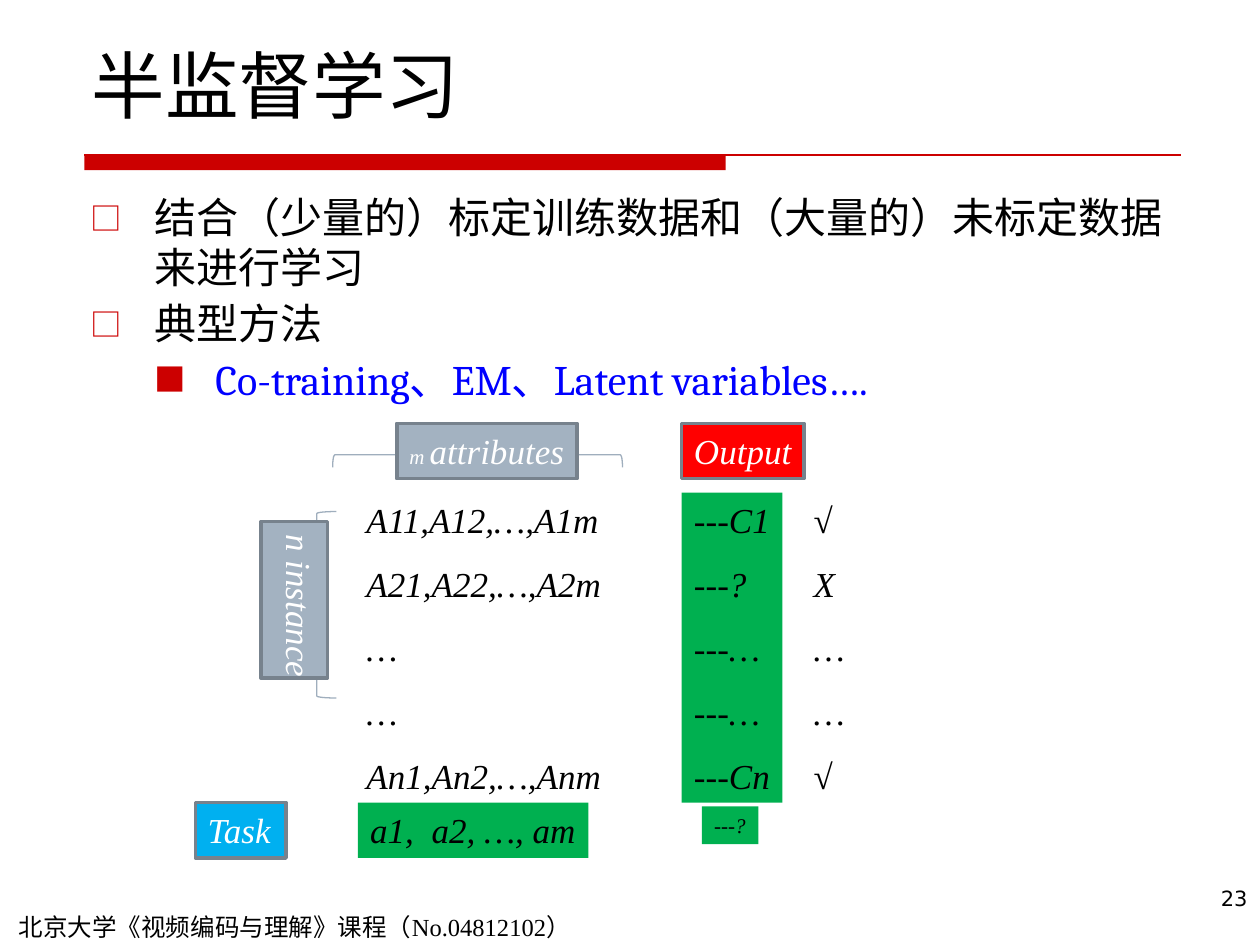
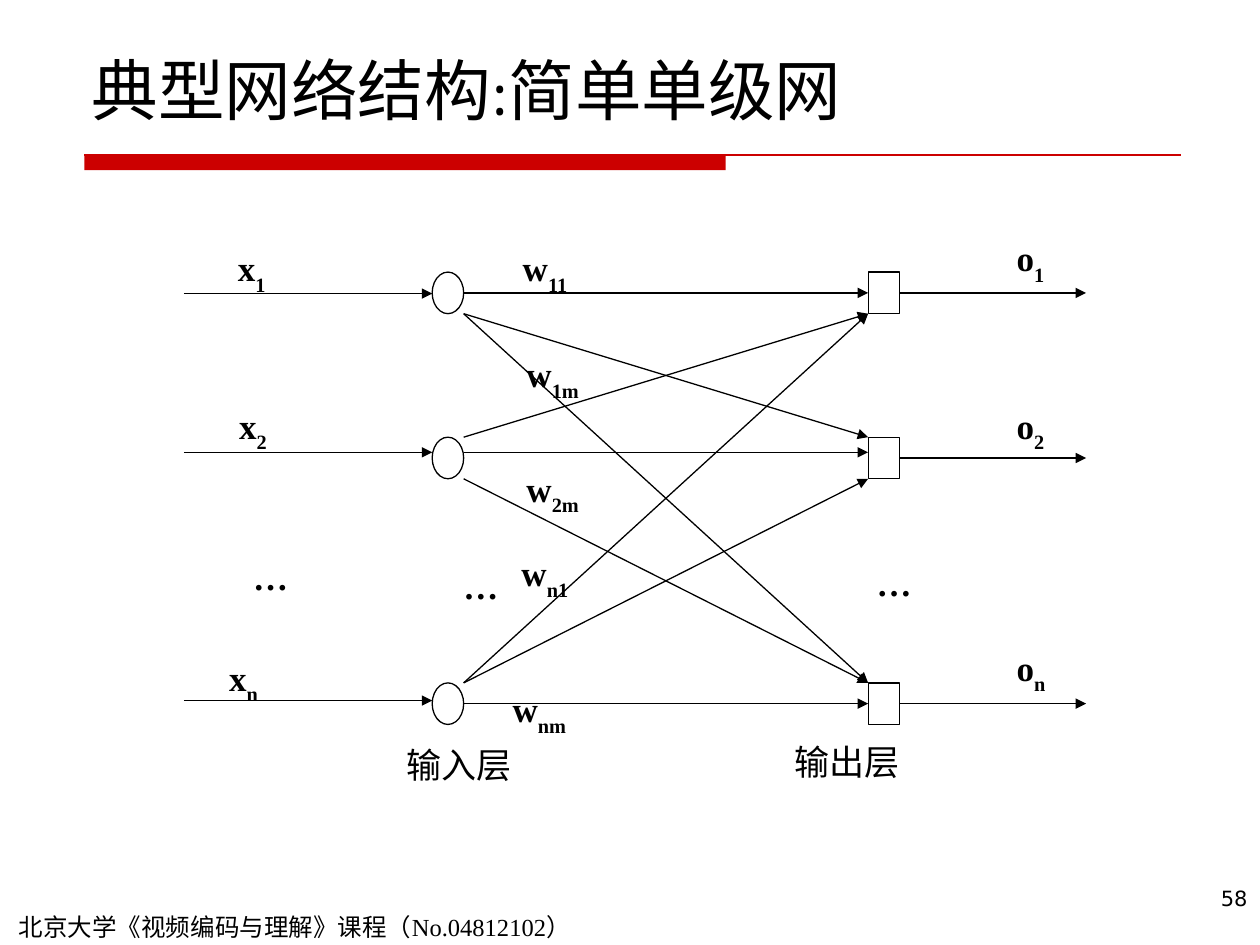
from lxml import etree
from pptx import Presentation
from pptx.dml.color import RGBColor
from pptx.enum.shapes import MSO_CONNECTOR, MSO_SHAPE
from pptx.enum.text import MSO_ANCHOR, MSO_AUTO_SIZE, PP_ALIGN
from pptx.oxml.ns import qn
from pptx.util import Inches, Pt

STRAIGHT = MSO_CONNECTOR.STRAIGHT
RECT, OVAL, BRACE = MSO_SHAPE.RECTANGLE, MSO_SHAPE.OVAL, MSO_SHAPE.LEFT_BRACE
TOP, BOTTOM = MSO_ANCHOR.TOP, MSO_ANCHOR.BOTTOM
FIT_SHAPE = MSO_AUTO_SIZE.SHAPE_TO_FIT_TEXT
LEFT, RIGHT = PP_ALIGN.LEFT, PP_ALIGN.RIGHT
SERIF, BODY, SANS, CJK = "Times New Roman", "Cambria", "DejaVu Sans", "Noto Sans CJK SC"
BLACK, WHITE, RED, BLUE = "000000", "FFFFFF", "CC0000", "0000FF"
GREEN, GREY, EDGE, BRACE_LINE = "00B050", "A3B2C1", "77828D", "9FAEBD"


def paint(fill, color):
    fill.solid()
    fill.fore_color.rgb = RGBColor.from_string(color)


def write(slide, box, paragraphs, size=20, font=SERIF, color=BLACK, bold=False,
          italic=False, align=LEFT, anchor=TOP, wrap=False, gap=0, fill=None,
          border=None, vertical=False):
    """Each paragraph is a string or a list of (text, run format) pairs."""
    place = [Inches(v) for v in box]
    if fill:
        holder = slide.shapes.add_shape(RECT, *place)
        holder.shadow.inherit = False
        paint(holder.fill, fill)
        if border:
            paint(holder.line.fill, border)
            holder.line.width = Pt(2)
        else:
            holder.line.fill.background()
    else:
        holder = slide.shapes.add_textbox(*place)
    frame = holder.text_frame
    frame.word_wrap, frame.vertical_anchor = wrap, anchor
    if not wrap:
        frame.auto_size = FIT_SHAPE
    if vertical:
        frame._txBody.bodyPr.set("vert", "eaVert")
        frame.margin_left = frame.margin_right = Inches(0.05)
        frame.margin_top = frame.margin_bottom = Inches(0.1)
    for index, content in enumerate(paragraphs):
        paragraph = frame.add_paragraph() if index else frame.paragraphs[0]
        paragraph.alignment = align
        if index:
            paragraph.space_before = Pt(gap)
        for text, style in [(content, {})] if isinstance(content, str) else content:
            run = paragraph.add_run()
            run.text = text
            run.font.size = Pt(style.get("size", size))
            run.font.name = font
            run.font.bold, run.font.italic = bold, italic
            paint(run.font.fill, style.get("color", color))
            props = run._r.get_or_add_rPr()
            etree.SubElement(props, qn("a:ea")).set("typeface", CJK)
            if "baseline" in style:
                props.set("baseline", str(style["baseline"]))
    return frame


deck = Presentation()
deck.slide_width, deck.slide_height = Inches(10), Inches(7.5)
blank = deck.slide_layouts[6]

# Shared title, red band, footer and page number
slides, rules = [], []
for title, title_size, page in (("半监督学习", 42, "23"),
                                ("典型网络结构:简单单级网", 38, "58")):
    slide = deck.slides.add_slide(blank)
    band = slide.shapes.add_shape(RECT, Inches(0.67), Inches(1.23), Inches(5.09), Inches(0.12))
    band.shadow.inherit = False
    paint(band.fill, RED)
    band.line.fill.background()
    rules.append(slide.shapes.add_connector(
        STRAIGHT, Inches(0.67), Inches(1.23), Inches(9.37), Inches(1.23)))
    write(slide, (0.05, 7.19, 4.95, 0.34), ["北京大学《视频编码与理解》课程（No.04812102）"],
          size=14, wrap=True)
    write(slide, (0.63, 0.33, 8.75, 0.74), [title], size=title_size, font=BODY,
          anchor=BOTTOM, wrap=True)
    write(slide, (7.86, 6.98, 2.14, 0.52), [page], size=12, font=SANS, align=RIGHT, wrap=True)
    slides.append(slide)
learning, network = slides

# Semi-supervised learning: bullets
outline = write(learning, (0.62, 1.47, 8.75, 1.8),
                ["结合（少量的）标定训练数据和（大量的）未标定数据来进行学习", "典型方法",
                 [("Co-training、EM、Latent variables….", {"color": BLUE})]],
                size=24, font=BODY, wrap=True, gap=3)
for paragraph, (mark, indent, hang) in zip(
        outline.paragraphs, (("□", 0.51, 0.51), ("□", 0.51, 0.51), ("■", 0.99, 0.48))):
    props = paragraph._p.get_or_add_pPr()
    props.set("marL", str(Inches(indent)))
    props.set("indent", str(-Inches(hang)))
    bullet_color = etree.SubElement(props, qn("a:buClr"))
    etree.SubElement(bullet_color, qn("a:srgbClr")).set("val", RED)
    etree.SubElement(props, qn("a:buSzPct")).set("val", "75000")
    etree.SubElement(props, qn("a:buFont")).set("typeface", CJK)
    etree.SubElement(props, qn("a:buChar")).set("char", mark)
outline.paragraphs[2].level = 1

# Braces around the instances and the attributes
for box, turn, curve in (((2.36, 4.06, 0.31, 1.48), 0, 0.05),
                         ((3.69, 2.46, 0.2, 2.3), 90, 0.08)):
    brace = learning.shapes.add_shape(BRACE, *[Inches(v) for v in box])
    brace.shadow.inherit = False
    brace.fill.background()
    paint(brace.line.fill, BRACE_LINE)
    brace.line.width = Pt(0.75)
    brace.rotation = turn
    brace.adjustments[0] = curve

# Data columns
for box, column, fill in (
        ((2.81, 3.91, 2.06, 2.46), ["A11,A12,…,A1m", "A21,A22,…,A2m", "…", "…", "An1,An2,…,Anm"], None),
        ((5.41, 3.91, 0.8, 2.46), ["---C1", "---?", "---…", "---…", "---Cn"], GREEN),
        ((6.36, 3.91, 0.46, 2.46), ["√", "X", "…", "…", "√"], None)):
    write(learning, box, column, italic=True, gap=12.5, fill=fill)

# Column headings and the task row
write(learning, (2.07, 4.14, 0.53, 1.24), ["n instance"], color=WHITE, italic=True,
      fill=GREY, border=EDGE, vertical=True)
for box, label, fill in (
        ((3.15, 3.36, 1.43, 0.44), [("m ", {"size": 12}), ("attributes", {})], GREY),
        ((5.41, 3.36, 0.97, 0.44), "Output", "FF0000"),
        ((1.55, 6.37, 0.72, 0.44), "Task", "00B0F0")):
    write(learning, box, [label], color=WHITE, italic=True, fill=fill, border=EDGE)
write(learning, (2.84, 6.37, 1.83, 0.44), ["a1,  a2, …, am"], italic=True, fill=GREEN)
write(learning, (5.57, 6.4, 0.45, 0.3), ["---?"], size=12, italic=True, fill=GREEN)

# Network: input circles and output squares
row_tops = (2.16, 3.47, 5.42)
node_w, node_h = 0.25, 0.33
input_x, output_x = 3.43, 6.89
output_nodes = []
for top in row_tops:
    for kind, left in ((OVAL, input_x), (RECT, output_x)):
        node = network.shapes.add_shape(
            kind, Inches(left), Inches(top), Inches(node_w), Inches(node_h))
        node.shadow.inherit = False
        paint(node.fill, WHITE)
        paint(node.line.fill, BLACK)
        node.line.width = Pt(0.75)
    output_nodes.append(node)

# Arrows: into each circle, across to every square, out of each square
input_right, output_right = input_x + node_w, output_x + node_w
paths = []
for row, (top, input_y) in enumerate(zip(row_tops, (2.33, 3.59, 5.56))):
    middle = top + node_h / 2
    paths.append((1.46, input_y, input_x, input_y, None, None))
    paths.append((output_right, middle, 8.62, middle, output_nodes[row], None))
    for target, target_top in enumerate(row_tops):
        if target > row:
            ends = top + node_h, target_top
        elif target < row:
            ends = top, target_top + node_h
        else:
            ends = (input_y, input_y) if row == 1 else (middle, middle)
        joined = output_nodes[row] if target == row != 1 else None
        paths.append((input_right, ends[0], output_x, ends[1], None, joined))
arrows = []
for *points, source, goal in paths:
    arrow = network.shapes.add_connector(STRAIGHT, *[Inches(v) for v in points])
    if source:
        arrow.begin_connect(source, 3)
    if goal:
        arrow.end_connect(goal, 1)
    arrows.append(arrow)

# Line format for the title rules and the arrows
for color, lines in ((RED, rules), (BLACK, arrows)):
    for line in lines:
        paint(line.line.fill, color)
        line.line.width = Pt(0.75)
        etree.SubElement(line._element.spPr, qn("a:effectLst"))
for arrow in arrows:
    etree.SubElement(arrow.line._get_or_add_ln(), qn("a:tailEnd")).set("type", "triangle")

# Signal and weight labels with subscripts
for letter, index, left, top, width in (
        ("x", "1", 1.79, 1.91, 0.42), ("x", "2", 1.8, 3.16, 0.42), ("x", "n", 1.72, 5.16, 0.43),
        ("o", "1", 7.97, 1.83, 0.42), ("o", "2", 7.97, 3.16, 0.42), ("o", "n", 7.97, 5.08, 0.43),
        ("w", "11", 4.05, 1.91, 0.56), ("w", "1m", 4.08, 2.75, 0.62),
        ("w", "2m", 4.08, 3.66, 0.62), ("w", "n1", 4.04, 4.33, 0.57),
        ("w", "nm", 3.97, 5.41, 0.63)):
    write(network, (left, top, width, 0.5),
          [[(letter, {}), (index, {"baseline": -30000})]], bold=True)
for left, top in ((1.91, 4.36), (3.58, 4.43), (6.86, 4.41)):
    write(network, (left, top, 0.48, 0.44), ["…"], bold=True)

# Layer names
for name, left, top in (("输入层", 3.13, 5.85), ("输出层", 6.21, 5.83)):
    write(network, (left, top, 1.2, 0.44), [name], font=CJK, wrap=True)

deck.save("out.pptx")
